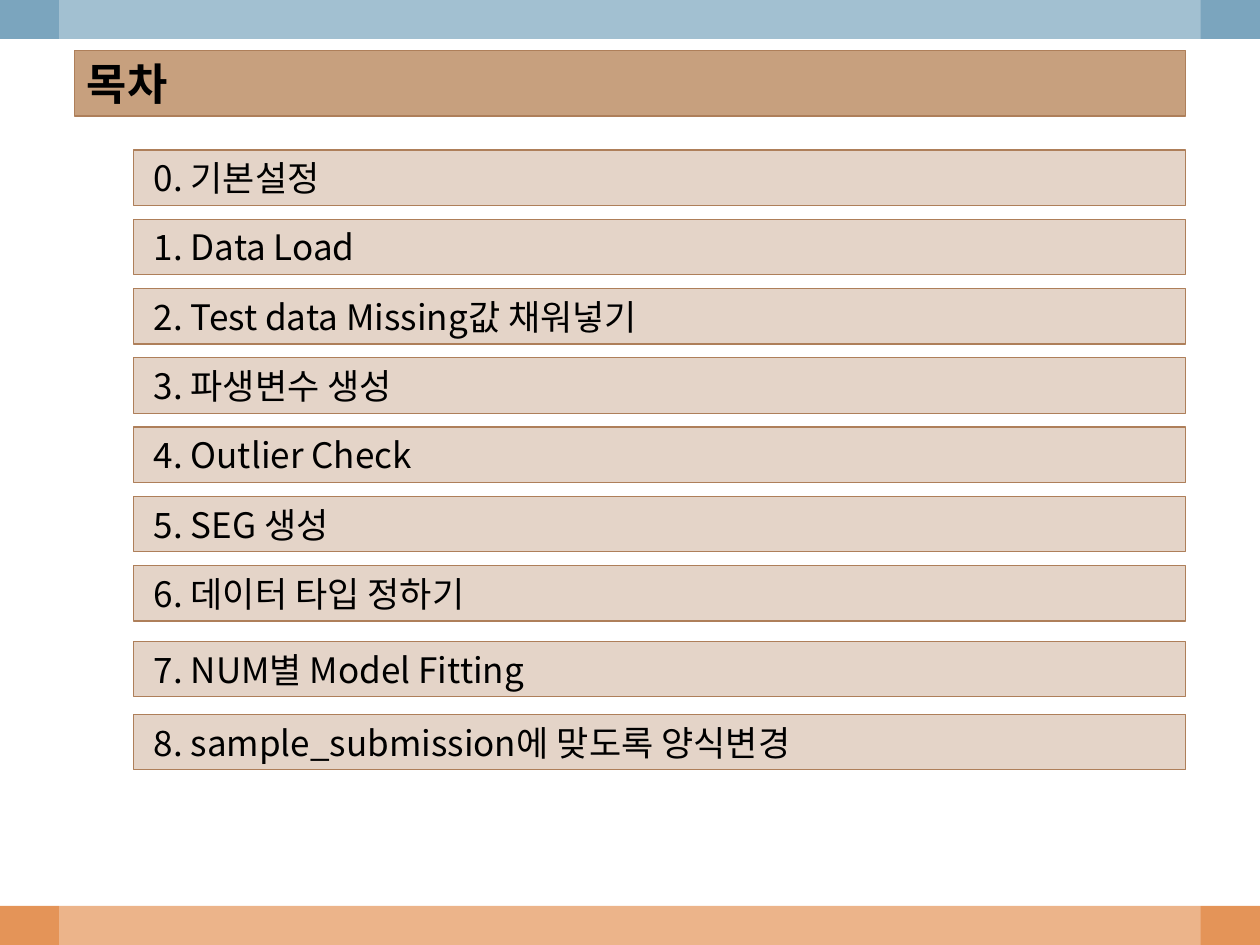
"""Build the table-of-contents slide."""
import pptx
import pptx.dml.color
import pptx.enum.shapes
import pptx.enum.text
import pptx.oxml.ns
import pptx.util
from lxml import etree

Inches = pptx.util.Inches
RGBColor = pptx.dml.color.RGBColor

FONT = "Noto Sans CJK KR"
BLACK = RGBColor(0x00, 0x00, 0x00)
WHITE = RGBColor(0xFF, 0xFF, 0xFF)
BLUE = RGBColor(0x7B, 0xA5, 0xBE)
ORANGE = RGBColor(0xE4, 0x94, 0x58)
TAN = RGBColor(0xC7, 0xA0, 0x7E)
BEIGE = RGBColor(0xE4, 0xD4, 0xC8)
BROWN = RGBColor(0xAE, 0x7F, 0x5A)

TOPICS = [
    "0. 기본설정",
    "1. Data Load",
    "2. Test data Missing값 채워넣기",
    "3. 파생변수 생성",
    "4. Outlier Check",
    "5. SEG 생성",
    "6. 데이터 타입 정하기",
    "7. NUM별 Model Fitting",
    "8. sample_submission에 맞도록 양식변경",
]
TOPIC_TOPS = [1.19 + 0.55 * row for row in range(7)] + [5.09, 5.67]


def paint(shape, fill, line=None):
    """Give a shape a solid fill and either a thin outline or none."""
    shape.fill.solid()
    shape.fill.fore_color.rgb = fill
    if line is None:
        shape.line.fill.background()
    else:
        shape.line.color.rgb = line
        shape.line.width = pptx.util.Pt(0.75)


def add_box(slide, left, top, width, height, fill, line=None):
    """Add a flat rectangle."""
    box = slide.shapes.add_shape(
        pptx.enum.shapes.MSO_SHAPE.RECTANGLE,
        Inches(left), Inches(top), Inches(width), Inches(height))
    box.shadow.inherit = False
    paint(box, fill, line)
    return box


def write(shape, text, size=20, bold=False, inset=0.1):
    """Write one left-aligned, vertically centred line of text in a shape."""
    frame = shape.text_frame
    frame.word_wrap = True
    frame.auto_size = pptx.enum.text.MSO_AUTO_SIZE.NONE
    frame.vertical_anchor = pptx.enum.text.MSO_ANCHOR.MIDDLE
    frame.margin_left = Inches(inset)
    paragraph = frame.paragraphs[0]
    paragraph.alignment = pptx.enum.text.PP_ALIGN.LEFT
    run = paragraph.add_run()
    run.text = text
    run.font.name = FONT
    run.font.size = pptx.util.Pt(size)
    run.font.bold = bold
    run.font.color.rgb = BLACK
    east_asian = etree.SubElement(run.font._element, pptx.oxml.ns.qn("a:ea"))
    east_asian.set("typeface", FONT)


def add_background(slide):
    """Add the two edge bands and the translucent panel over them."""
    add_box(slide, 0, 7.19, 10, 0.31, ORANGE)
    add_box(slide, 0, 0, 10, 0.31, BLUE)
    panel = add_box(slide, 0.47, 0, 9.06, 7.5, WHITE)
    color = panel._element.spPr.find(".//" + pptx.oxml.ns.qn("a:srgbClr"))
    etree.SubElement(color, pptx.oxml.ns.qn("a:alpha")).set("val", "30000")


def add_heading(slide, text):
    """Place the title placeholder as a filled bar above the background."""
    heading = slide.shapes.title
    heading.left, heading.top = Inches(0.59), Inches(0.4)
    heading.width, heading.height = Inches(8.82), Inches(0.52)
    paint(heading, TAN, BROWN)
    write(heading, text, size=25, bold=True)
    slide.shapes._spTree.append(heading._element)


def main():
    """Build and save the slide."""
    deck = pptx.Presentation()
    deck.slide_width, deck.slide_height = Inches(10), Inches(7.5)
    slide = deck.slides.add_slide(deck.slide_layouts.get_by_name("Title Only"))
    add_background(slide)
    add_heading(slide, "목차")
    for topic, top in zip(TOPICS, TOPIC_TOPS):
        bar = add_box(slide, 1.06, top, 8.35, 0.44, BEIGE, BROWN)
        write(bar, topic, inset=0.16)
    deck.save("out.pptx")


if __name__ == "__main__":
    main()
